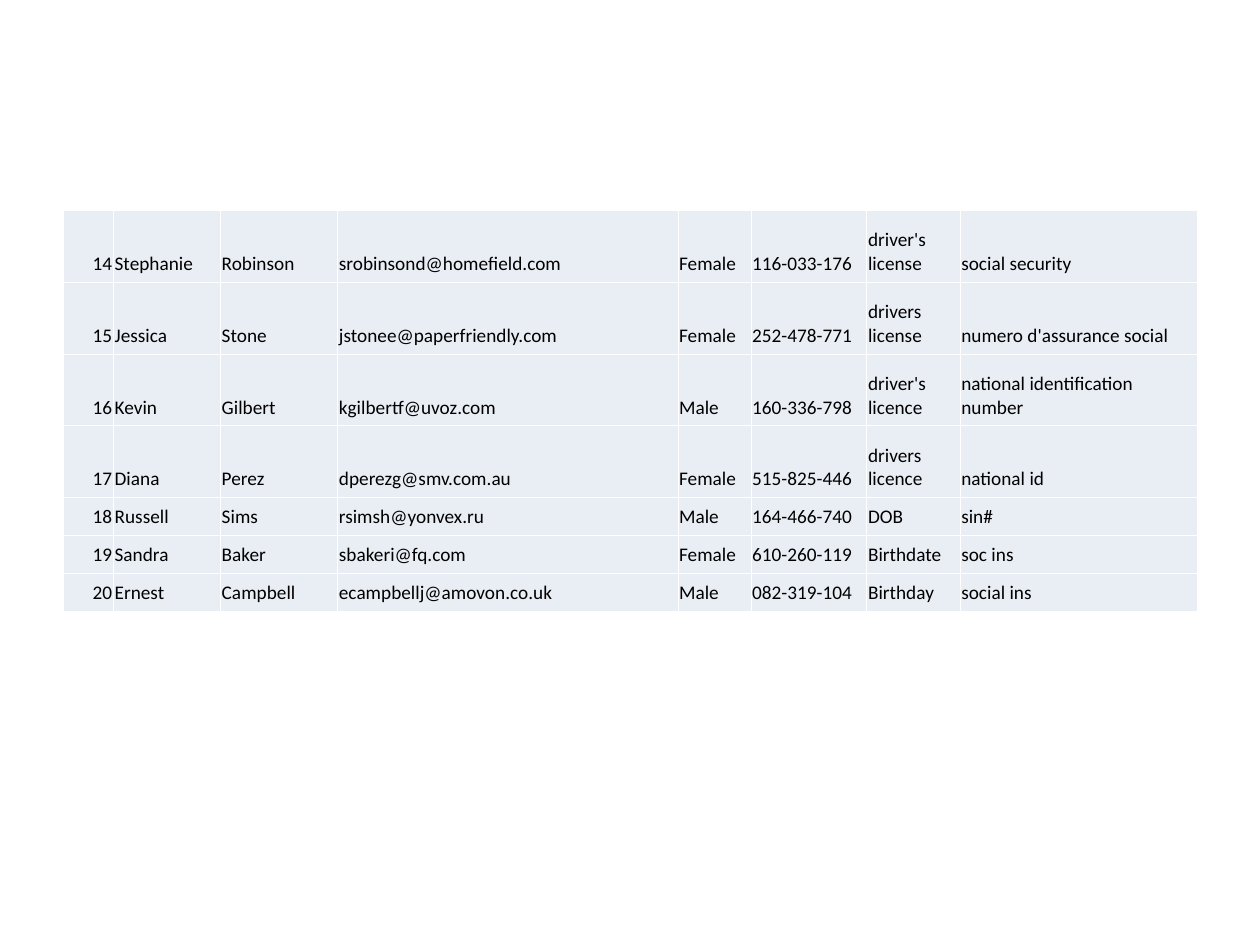
from dataclasses import dataclass

from lxml.etree import SubElement
from pptx import Presentation
from pptx.dml.color import RGBColor as RGB
from pptx.enum.text import MSO_ANCHOR as ANCHOR, PP_ALIGN as ALIGN
from pptx.oxml.ns import qn
from pptx.util import Inches, Pt


@dataclass(frozen=True)
class Theme:
    font: str = "Calibri"
    size: float = 11
    text: str = "000000"
    cell: str = "E9EDF4"
    border: str = "FFFFFF"
    border_width: float = 0.45


COL_WIDTHS = [0.4, 0.85, 0.93, 2.7, 0.58, 0.92, 0.74, 1.88]
ROW_HEIGHTS = [0.57] * 4 + [0.3] * 3
PEOPLE = [
    ("14", "Stephanie", "Robinson", "srobinsond@homefield.com", "Female",
     "116-033-176", "driver's license", "social security"),
    ("15", "Jessica", "Stone", "jstonee@paperfriendly.com", "Female",
     "252-478-771", "drivers license", "numero d'assurance social"),
    ("16", "Kevin", "Gilbert", "kgilbertf@uvoz.com", "Male",
     "160-336-798", "driver's licence", "national identification number"),
    ("17", "Diana", "Perez", "dperezg@smv.com.au", "Female",
     "515-825-446", "drivers licence", "national id"),
    ("18", "Russell", "Sims", "rsimsh@yonvex.ru", "Male",
     "164-466-740", "DOB", "sin#"),
    ("19", "Sandra", "Baker", "sbakeri@fq.com", "Female",
     "610-260-119", "Birthdate", "soc ins"),
    ("20", "Ernest", "Campbell", "ecampbellj@amovon.co.uk", "Male",
     "082-319-104", "Birthday", "social ins"),
]


class Deck:
    """Draws elements on the current slide in the theme's style."""

    def __init__(self, theme):
        self.theme = theme
        self.prs = Presentation()
        self.prs.slide_width, self.prs.slide_height = Inches(10), Inches(7.5)
        self.slide = None

    def add_slide(self):
        self.slide = self.prs.slides.add_slide(self.prs.slide_layouts[6])

    def add_table(self, left, top, widths, heights, rows):
        frame = self.slide.shapes.add_table(
            len(heights), len(widths), Inches(left), Inches(top),
            Inches(sum(widths)), Inches(sum(heights)))
        table = frame.table
        table.first_row = table.horz_banding = False
        for column, width in zip(table.columns, widths):
            column.width = Inches(width)
        for row, height, values in zip(table.rows, heights, rows):
            row.height = Inches(height)
            for i, (cell, value) in enumerate(zip(row.cells, values)):
                self.fill_cell(cell, value, ALIGN.LEFT if i else ALIGN.RIGHT)

    def fill_cell(self, cell, value, align):
        layout = {
            "vertical_anchor": ANCHOR.BOTTOM,
            "margin_left": Inches(0.01), "margin_right": Inches(0.01),
            "margin_top": Inches(0.05), "margin_bottom": Inches(0.05),
        }
        for name, setting in layout.items():
            setattr(cell, name, setting)
        self.add_borders(cell)
        cell.fill.solid()
        cell.fill.fore_color.rgb = RGB.from_string(self.theme.cell)
        p = cell.text_frame.paragraphs[0]
        p.alignment = align
        r = p.add_run()
        r.text = value
        for name, setting in {"name": self.theme.font,
                              "size": Pt(self.theme.size)}.items():
            setattr(r.font, name, setting)
        r.font.color.rgb = RGB.from_string(self.theme.text)

    def add_borders(self, cell):
        """Outline the cell; must run before its fill, which follows in the XML."""
        props = cell._tc.get_or_add_tcPr()
        for side in ("a:lnL", "a:lnR", "a:lnT", "a:lnB"):
            line = SubElement(props, qn(side), w=str(Pt(self.theme.border_width)))
            fill = SubElement(line, qn("a:solidFill"))
            SubElement(fill, qn("a:srgbClr"), val=self.theme.border)


def main():
    deck = Deck(Theme())
    deck.add_slide()
    deck.add_table(0.5, 1.67, COL_WIDTHS, ROW_HEIGHTS, PEOPLE)
    deck.prs.save("out.pptx")


if __name__ == "__main__":
    main()
